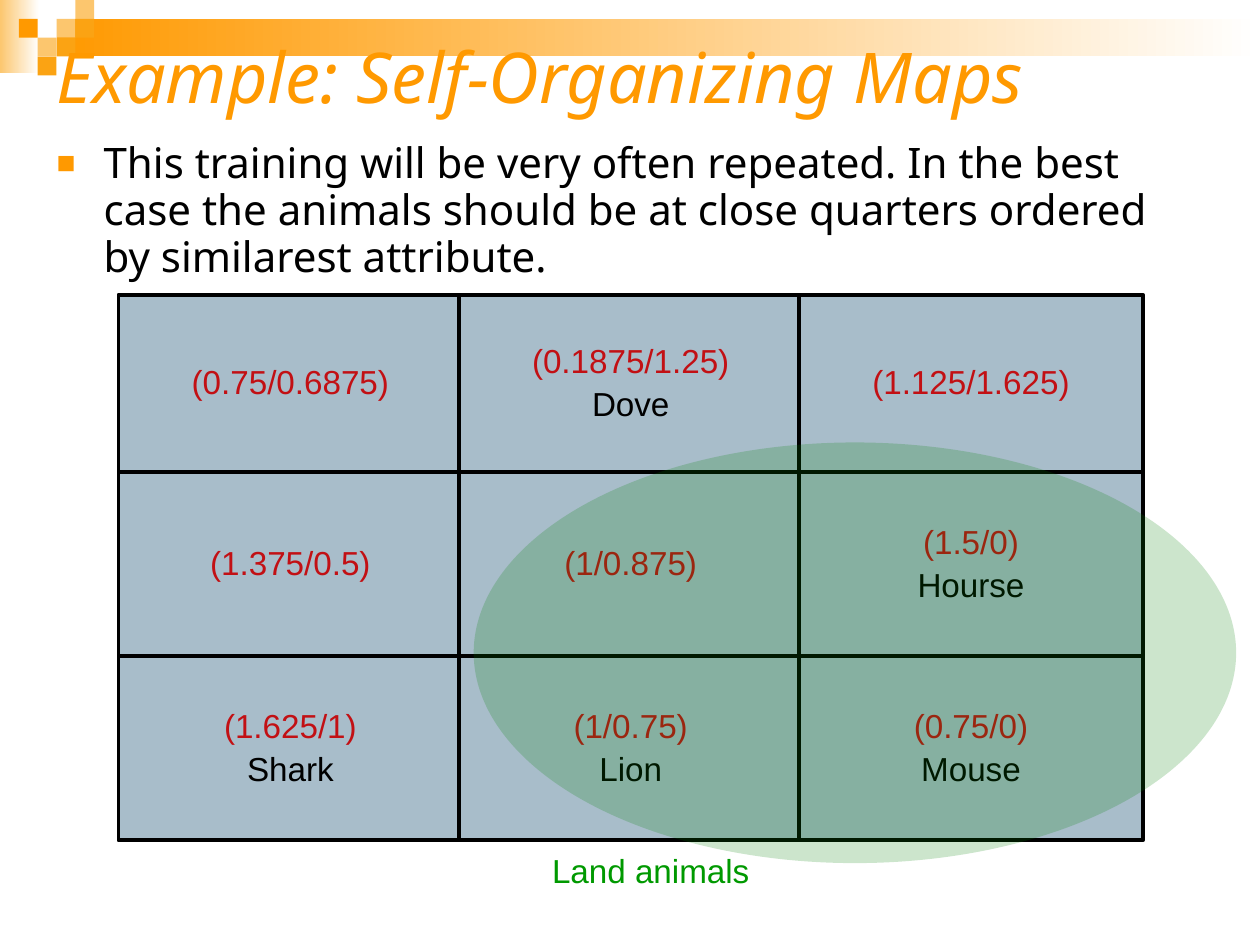
from lxml.etree import SubElement as Sub
from pptx import Presentation
from pptx.dml.color import RGBColor
from pptx.enum.shapes import MSO_SHAPE as Geo
from pptx.enum.text import MSO_ANCHOR as Anchor, PP_ALIGN as Align
from pptx.oxml.ns import qn
from pptx.util import Cm, Pt

ORANGE, AMBER, PEACH, WHITE = "FF9900", "FBA313", "FCC66E", "FFFFFF"
BLACK, RED, GREEN = "000000", "C21014", "009900"
TILE = 0.38

CELLS = [
    [("(0.75/0.6875)",), ("(0.1875/1.25)", "Dove"), ("(1.125/1.625)",)],
    [("(1.375/0.5)",), ("(1/0.875)",), ("(1.5/0)", "Hourse")],
    [("(1.625/1)", "Shark"), ("(1/0.75)", "Lion"), ("(0.75/0)", "Mouse")],
]


def color(text):
    return RGBColor.from_string(text)


def shape(slide, geo, box, fill):
    item = slide.shapes.add_shape(geo, *map(Cm, box))
    item.shadow.inherit = False
    item.line.fill.background()
    item.fill.solid()
    item.fill.fore_color.rgb = color(fill)
    return item


def fade(slide, box, start):
    """Bar that runs from a colour on the left to white on the right."""
    fill = shape(slide, Geo.RECTANGLE, box, start).fill
    fill.gradient()
    fill.gradient_angle = 0
    for stop, tone in zip(fill.gradient_stops, (start, WHITE)):
        stop.color.rgb = color(tone)


def text_box(slide, box):
    frame = slide.shapes.add_textbox(*map(Cm, box)).text_frame
    frame.word_wrap = True
    return frame


def inset(frame):
    frame.margin_left = frame.margin_right = Cm(0.18)
    frame.margin_top = frame.margin_bottom = Cm(0.1)


def write(para, text, size, tone, face="Arial", space=0.93):
    para.line_spacing = space
    run = para.add_run()
    run.text = text
    font = run.font
    font.size, font.name = Pt(size), face
    font.color.rgb = color(tone)
    return font


def bullet(para, tone, indent):
    props = para._p.get_or_add_pPr()
    props.set("marL", str(Cm(indent)))
    props.set("indent", str(-Cm(indent)))
    Sub(Sub(props, qn("a:buClr")), qn("a:srgbClr"), val=tone)
    Sub(props, qn("a:buSzPct"), val="75000")
    Sub(props, qn("a:buFont"), typeface="Arial")
    Sub(props, qn("a:buChar"), char="■")


def banner(slide, left, top, width):
    fade(slide, (left, top, 0.79, 1.47), PEACH)
    fade(slide, (left + 3 * TILE, top + TILE, width - 3 * TILE, 0.76), ORANGE)
    tiles = [(3, 1, PEACH), (4, 0, PEACH), (4, 1, AMBER), (2, 2, PEACH),
             (1, 1, ORANGE), (3, 2, AMBER), (2, 3, AMBER)]
    for col, row, tone in tiles:
        box = (left + col * TILE, top + row * TILE, TILE, TILE)
        shape(slide, Geo.RECTANGLE, box, tone)


def title(slide, box):
    frame = text_box(slide, box)
    frame.vertical_anchor = Anchor.MIDDLE
    frame.margin_right = 0
    font = write(frame.paragraphs[0], "Example: Self-Organizing Maps",
                 40, ORANGE, "Noto Sans")
    font.italic = True


def body(slide, box):
    para = text_box(slide, box).paragraphs[0]
    bullet(para, ORANGE, 0.95)
    write(para, "This training will be very often repeated. In the best case "
          "the animals should be at close quarters ordered by similarest "
          "attribute.", 24, BLACK, "Noto Sans")


def cell(slide, box, lines):
    item = shape(slide, Geo.RECTANGLE, box, "A8BDCA")
    item.line.color.rgb = color(BLACK)
    item.line.width = Pt(2.25)
    frame = item.text_frame
    frame.word_wrap = True
    frame.vertical_anchor = Anchor.MIDDLE
    inset(frame)
    para = frame.paragraphs[0]
    para.alignment = Align.CENTER
    write(para, lines[0], 19, RED)
    for name in lines[1:]:
        para = frame.add_paragraph()
        para.alignment = Align.CENTER
        para.space_before = Pt(1.5)
        write(para, name, 19, BLACK, space=1.0)


def grid(slide, left, top, width):
    step = (width - 0.07) / 3
    for lines, high in zip(CELLS, (3.58, 3.71, 3.71)):
        for col, words in enumerate(lines):
            cell(slide, (left + col * step, top, step + 0.07, high), words)
        top += high


def region(slide, left, top, width, height):
    """See-through ellipse with its name below."""
    oval = shape(slide, Geo.OVAL, (left, top, width, height), "008000")
    tone = oval.fill._xPr.find(".//" + qn("a:srgbClr"))
    Sub(tone, qn("a:alpha"), val="20000")
    frame = text_box(slide, (left + 1.4, top + height - 0.28, 4.37, 0.94))
    frame.word_wrap = False
    inset(frame)
    write(frame.paragraphs[0], "Land animals", 19, GREEN)


def main():
    deck = Presentation()
    deck.slide_width, deck.slide_height = Cm(25.4), Cm(19.05)
    slide = deck.slides.add_slide(deck.slide_layouts[6])
    banner(slide, 0, 0, 25.4)
    title(slide, (0.89, 1.12, 20.02, 0.97))
    body(slide, (0.89, 2.72, 23.6, 15.01))
    grid(slide, 2.39, 5.94, 20.65)
    region(slide, 9.55, 8.92, 15.37, 8.48)
    deck.save("out.pptx")


if __name__ == "__main__":
    main()
